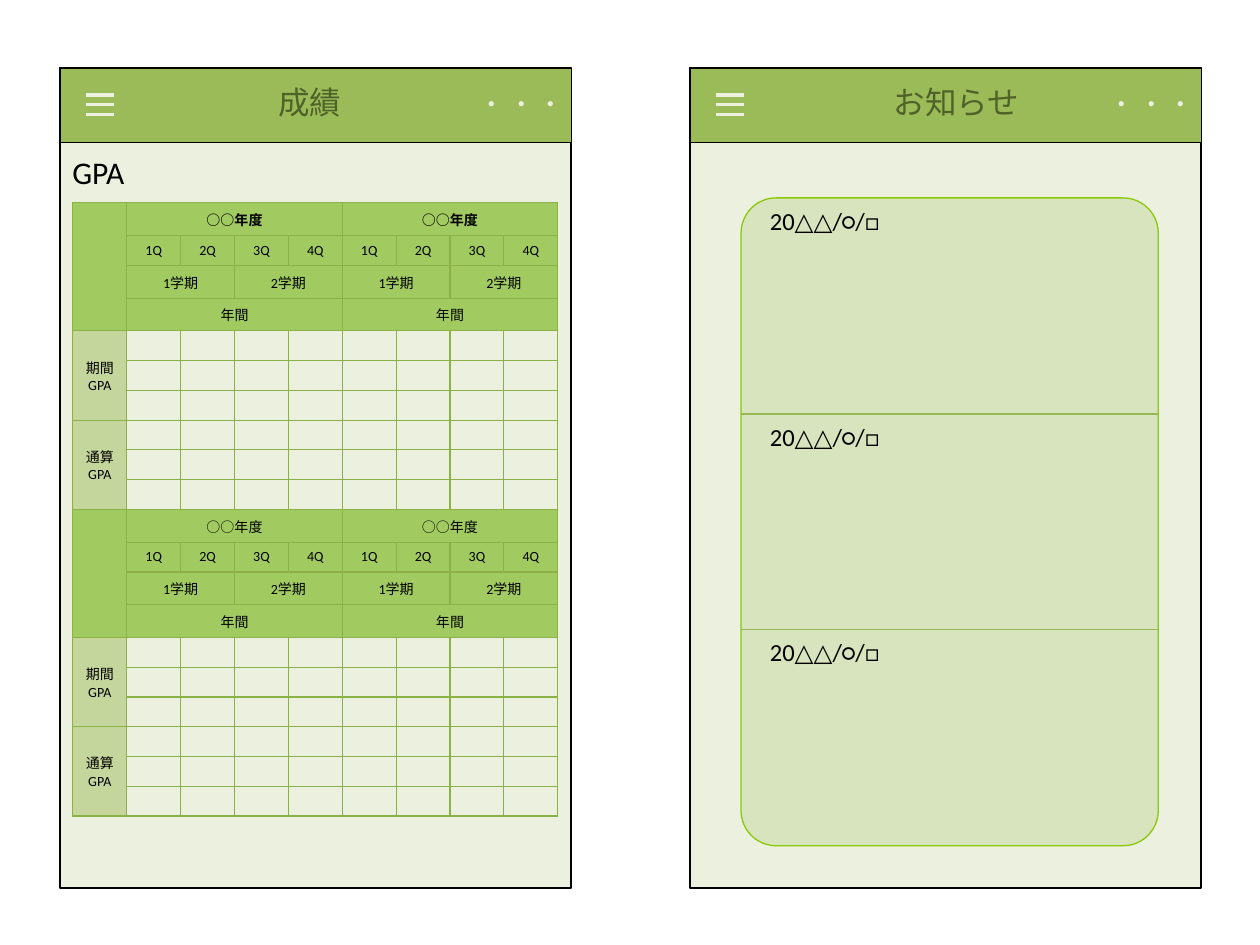
from lxml.etree import SubElement
from pptx import Presentation
from pptx.dml.color import RGBColor
from pptx.enum.shapes import MSO_CONNECTOR, MSO_SHAPE
from pptx.enum.text import MSO_ANCHOR, MSO_AUTO_SIZE, PP_ALIGN
from pptx.oxml.ns import qn
from pptx.util import Cm, Pt

COLORS = {
    "screen": "EBF1DE", "bar": "9BBB59", "outline": "000000", "text": "000000",
    "title": "4F6228", "head": "A1CB61", "side": "C4D69B", "grid": "8BB147",
    "card": "D7E4BD", "card_line": "8CC709", "divider": "98B955",
}
FONT = "Calibri"
SCREEN_W, SCREEN_H, BAR_H = 10.31, 16.54, 1.5


def rgb(name):
    return RGBColor.from_string(COLORS[name])


def add_box(shapes, kind, x, y, w, h, fill, line, width):
    box = shapes.add_shape(kind, Cm(x), Cm(y), Cm(w), Cm(h))
    box.shadow.inherit = False
    box.fill.solid()
    box.fill.fore_color.rgb = rgb(fill)
    box.line.color.rgb = rgb(line)
    box.line.width = Pt(width)
    return box


def add_rule(shapes, x, y, length, color, width):
    rule = shapes.add_connector(MSO_CONNECTOR.STRAIGHT, Cm(x), Cm(y), Cm(x + length), Cm(y))
    rule.line.color.rgb = rgb(color)
    rule.line.width = Pt(width)
    SubElement(rule._element.spPr, qn("a:effectLst"))


def add_run(paragraph, text, size, color, bold=False):
    run = paragraph.add_run()
    run.text = text
    run.font.name = FONT
    run.font.size = Pt(size)
    run.font.bold = bold
    run.font.color.rgb = rgb(color)


def add_label(shapes, x, y, w, h, text, size, color, align=PP_ALIGN.LEFT):
    label = shapes.add_textbox(Cm(x), Cm(y), Cm(w), Cm(h))
    frame = label.text_frame
    frame.word_wrap = True
    frame.auto_size = MSO_AUTO_SIZE.SHAPE_TO_FIT_TEXT
    frame.paragraphs[0].alignment = align
    add_run(frame.paragraphs[0], text, size, color)
    return frame


def add_screen(slide, x, y, title, title_x):
    """Phone screen with its title bar, menu icon and dots."""
    shapes = slide.shapes.add_group_shape().shapes
    add_box(shapes, MSO_SHAPE.RECTANGLE, x, y, SCREEN_W, SCREEN_H, "screen", "outline", 1)
    add_box(shapes, MSO_SHAPE.RECTANGLE, x, y, SCREEN_W, BAR_H, "bar", "outline", 0.75)
    for step in range(3):
        add_rule(shapes, x + 0.52, y + 0.54 + 0.2 * step, 0.56, "screen", 2)
    dots = add_label(shapes, x + 9.18, y + 0.23, 1.12, 1.02, "・・・", 14, "screen")
    dots._txBody.bodyPr.set("vert", "eaVert")
    add_label(slide.shapes, x + title_x, y + 0.18, 7.62, 1.02, title, 18, "title",
              PP_ALIGN.CENTER)


def style_cell(cell, fill):
    props = cell._tc.get_or_add_tcPr()
    for side in ("lnL", "lnR", "lnT", "lnB"):
        border = SubElement(props, qn("a:" + side), w=str(Pt(0.75)))
        SubElement(SubElement(border, qn("a:solidFill")), qn("a:srgbClr"), val=COLORS["grid"])
    cell.fill.solid()
    cell.fill.fore_color.rgb = rgb(fill)
    cell.vertical_anchor = MSO_ANCHOR.MIDDLE


def write_cell(cell, lines, bold=False):
    frame = cell.text_frame
    for i, line in enumerate(lines):
        paragraph = frame.add_paragraph() if i else frame.paragraphs[0]
        paragraph.alignment = PP_ALIGN.CENTER
        add_run(paragraph, line, 8, "text", bold)


def fill_years(grades, top, total_lines, bold):
    """Ten rows: four of headings, then three for each GPA kind."""
    heads = (["○○年度"], ["1Q", "2Q", "3Q", "4Q"], ["1学期", "2学期"], ["年間"])
    for row in range(10):
        for col in range(9):
            cell = grades.cell(top + row, col)
            style_cell(cell, "head" if row < 4 else "screen" if col else "side")
            SubElement(cell.text_frame.paragraphs[0]._p, qn("a:endParaRPr"), sz="800")
    for row, names in enumerate(heads, top):
        span = 4 // len(names)
        for i, name in enumerate(names * 2):
            cell = grades.cell(row, 1 + i * span)
            if span > 1:
                cell.merge(grades.cell(row, (i + 1) * span))
            write_cell(cell, [name], bold and row == top)
    for start, count, lines in ((0, 4, []), (4, 3, ["期間", "GPA"]), (7, 3, total_lines)):
        cell = grades.cell(top + start, 0)
        cell.merge(grades.cell(top + start + count - 1, 0))
        write_cell(cell, lines)


def add_grades(slide, x, y):
    """GPA heading and table."""
    add_label(slide.shapes, x, y + 1.6, 7.62, 1.02, "GPA", 18, "text")
    grades = slide.shapes.add_table(20, 9, Cm(x + 0.26), Cm(y + 2.72),
                                    Cm(9.78), Cm(12.36)).table
    grades.first_row = grades.horz_banding = False
    for col in grades.columns:
        col.width = Cm(9.78 / 9)
    for i, row in enumerate(grades.rows):
        row.height = Cm(0.66 if i % 10 in (0, 2, 3) else 0.6)
    fill_years(grades, 0, ["通算", "GPA"], True)
    fill_years(grades, 10, ["通算GPA"], False)


def add_notices(slide, x, y):
    """Rounded card split into three dated notices."""
    left, top, width, height = x + 1.03, y + 2.62, 8.41, 13.06
    shapes = slide.shapes.add_group_shape().shapes
    card = add_box(shapes, MSO_SHAPE.ROUNDED_RECTANGLE, left, top, width, height,
                   "card", "card_line", 0.75)
    card.adjustments[0] = 0.084
    for i in range(3):
        notice_y = top + i * height / 3
        if i:
            add_rule(shapes, left, notice_y, width, "divider", 0.75)
        add_label(shapes, left + 0.33, notice_y + 0.03, 3.84, 0.89, "20△△/○/□", 14, "text")


prs = Presentation()
prs.slide_width, prs.slide_height = Cm(25.4), Cm(19.05)
slide = prs.slides.add_slide(prs.slide_layouts[6])
SCREEN_Y = 1.37
grades_x, notices_x = 1.21, 13.91
add_screen(slide, grades_x, SCREEN_Y, "成績", 1.23)
add_grades(slide, grades_x, SCREEN_Y)
add_screen(slide, notices_x, SCREEN_Y, "お知らせ", 1.56)
add_notices(slide, notices_x, SCREEN_Y)
prs.save("out.pptx")
